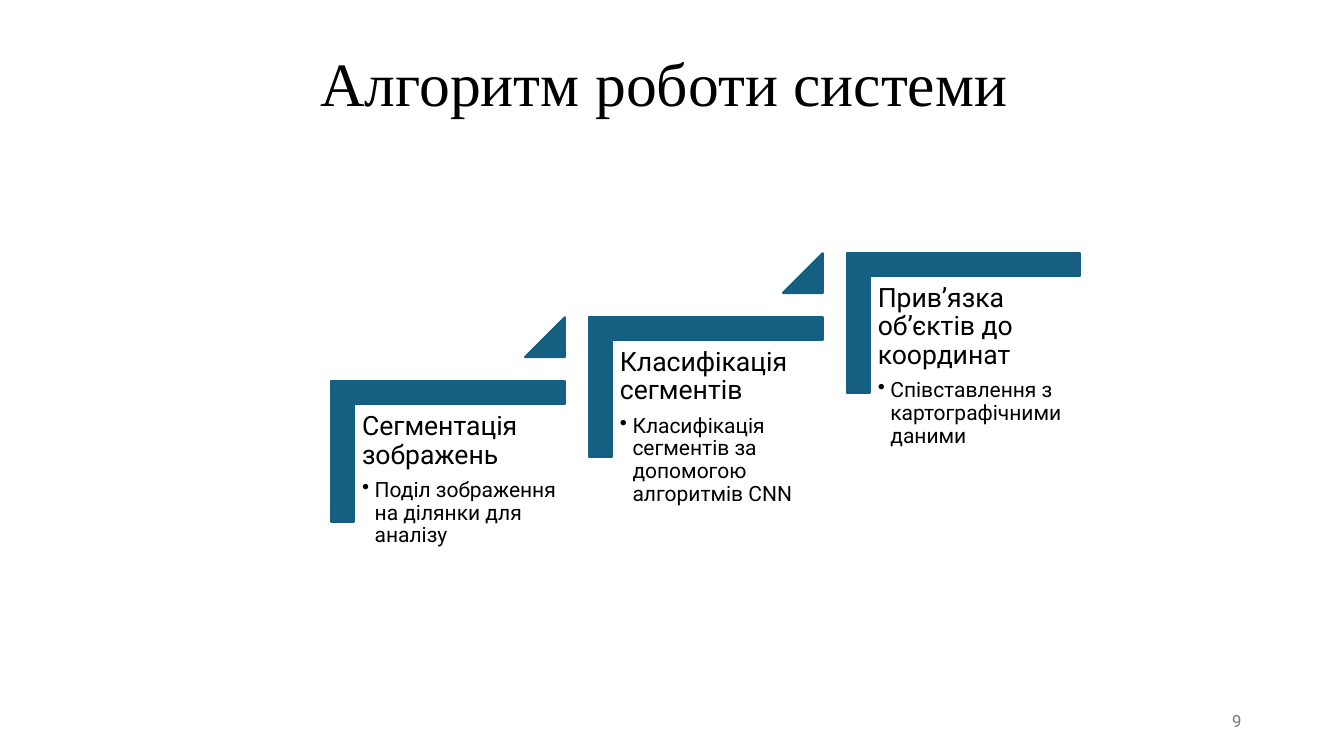
from lxml.etree import SubElement
from pptx import Presentation
from pptx.dml.color import RGBColor
from pptx.enum.shapes import MSO_SHAPE
from pptx.enum.text import MSO_ANCHOR, MSO_AUTO_SIZE, PP_ALIGN
from pptx.oxml.ns import qn
from pptx.util import Pt

BLUE, BLACK, GREY = "156082", "000000", "797979"
STEPS = [
    ("Сегментація зображень", "Поділ зображення на ділянки для аналізу"),
    ("Класифікація сегментів", "Класифікація сегментів за допомогою алгоритмів СNN"),
    ("Прив’язка об’єктів до координат", "Співставлення з картографічними даними"),
]
STEP_X, STEP_Y = 184.2, -45.8


def rgb(value):
    return RGBColor.from_string(value)


def format_paragraph(p, size, color=BLACK, font="Roboto", align=PP_ALIGN.LEFT, spacing=0.9, after=0):
    p.alignment = align
    p.line_spacing = spacing
    p.space_before = Pt(0)
    p.space_after = Pt(after)
    for r in p.runs:
        r.font.size = Pt(size)
        r.font.name = font
        r.font.color.rgb = rgb(color)


def add_bullet(p, indent):
    pPr = p._p.get_or_add_pPr()
    pPr.set("marL", str(Pt(indent)))
    pPr.set("indent", str(-Pt(indent)))
    SubElement(pPr, qn("a:buChar")).set("char", "•")


def add_blue_shape(s, kind, x, y, w, h, adjustments, rotation=0):
    sp = s.shapes.add_shape(kind, Pt(x), Pt(y), Pt(w), Pt(h))
    sp.shadow.inherit = False
    sp.rotation = rotation
    for i, value in enumerate(adjustments):
        sp.adjustments[i] = value
    sp.fill.solid()
    sp.fill.fore_color.rgb = rgb(BLUE)
    sp.line.color.rgb = rgb(BLUE)
    sp.line.width = Pt(1.5)


def add_text_frame(s, x, y, w, h):
    tf = s.shapes.add_textbox(Pt(x), Pt(y), Pt(w), Pt(h)).text_frame
    tf.word_wrap = True
    return tf


def add_step_text(s, x, y, heading, detail):
    tf = add_text_frame(s, x, y, 150.5, 131.8)
    tf.margin_left = tf.margin_right = tf.margin_top = tf.margin_bottom = Pt(5.7)
    tf.text = heading
    format_paragraph(tf.paragraphs[0], 19, after=6.65)
    p = tf.add_paragraph()
    p.text = detail
    p.level = 1
    format_paragraph(p, 15, after=2.25)
    add_bullet(p, 9)


def add_title(s, text):
    title = s.shapes.title
    title.left, title.top, title.width, title.height = Pt(66), Pt(24.5), Pt(828), Pt(75)
    tf = title.text_frame
    tf.text = text
    tf.auto_size = MSO_AUTO_SIZE.NONE
    tf.vertical_anchor = MSO_ANCHOR.MIDDLE
    format_paragraph(tf.paragraphs[0], 44, font="Times New Roman", align=PP_ALIGN.CENTER)


def add_page_number(s, text):
    tf = add_text_frame(s, 678, 500.5, 216, 28.75)
    tf.vertical_anchor = MSO_ANCHOR.MIDDLE
    tf.text = text
    format_paragraph(tf.paragraphs[0], 12, GREY, align=PP_ALIGN.RIGHT, spacing=1.0)


def main():
    prs = Presentation()
    prs.slide_width, prs.slide_height = Pt(960), Pt(540)
    s = prs.slides.add_slide(prs.slide_layouts[5])
    add_title(s, "Алгоритм роботи системи ")
    for i, (heading, detail) in enumerate(STEPS):
        dx, dy = i * STEP_X, i * STEP_Y
        add_blue_shape(s, MSO_SHAPE.CORNER, 269.8 + dx, 239 + dy, 100.2, 166.8, (0.161, 0.161), 90)
        add_step_text(s, 252.9 + dx, 288.9 + dy, heading, detail)
        if i < len(STEPS) - 1:
            add_blue_shape(s, MSO_SHAPE.ISOSCELES_TRIANGLE, 375.1 + dx, 226.7 + dy, 28.4, 28.4, (1,))
    add_page_number(s, "9")
    prs.save("out.pptx")


if __name__ == "__main__":
    main()
